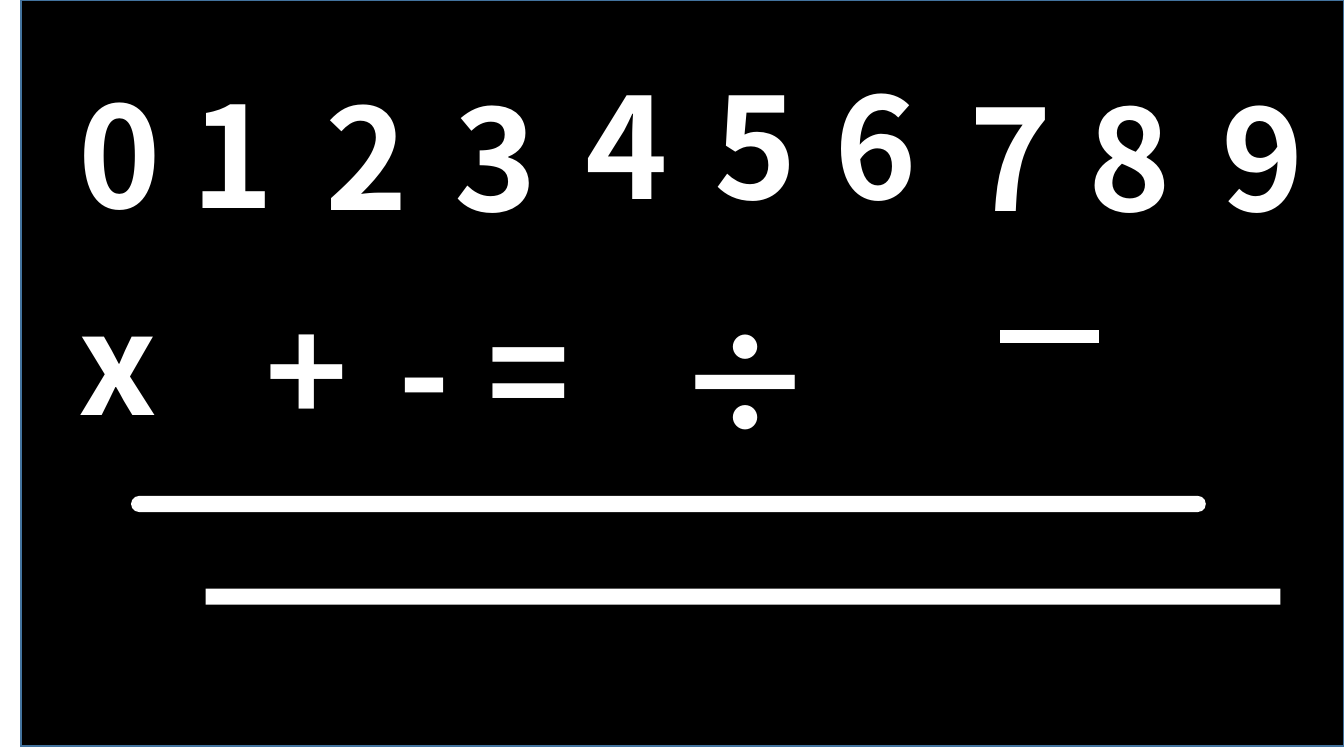
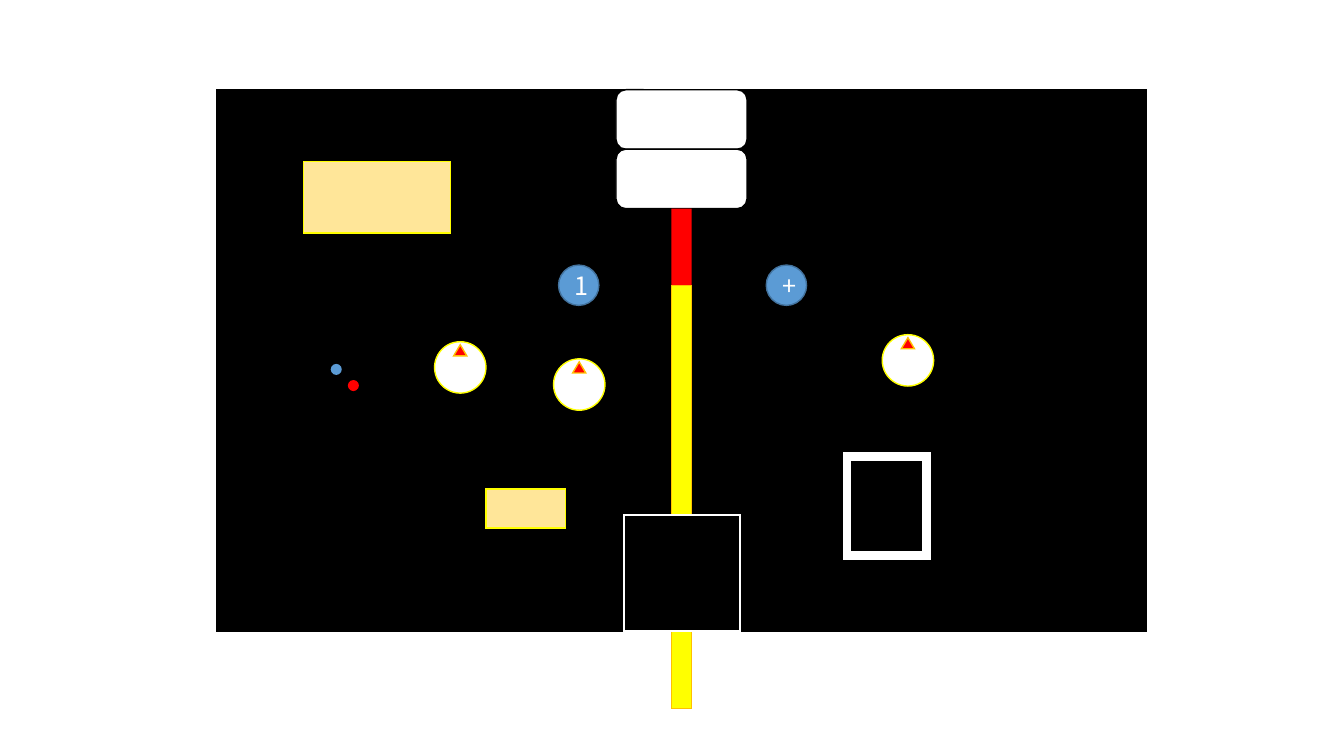
import pptx
import pptx.util
import pptx.dml.color
import pptx.enum.shapes
import pptx.enum.text
import pptx.oxml
import pptx.oxml.ns

Inches = pptx.util.Inches
SHAPE = pptx.enum.shapes.MSO_SHAPE

BLACK, WHITE, RED, YELLOW = "000000", "FFFFFF", "FF0000", "FFFF00"
BLUE, NAVY, GOLD, CREAM = "5B9BD5", "43739E", "FFC000", "FFE699"
FONT = "Noto Sans CJK KR"
NS = pptx.oxml.ns.nsdecls("a")


def rgb(color):
    return pptx.dml.color.RGBColor.from_string(color)


def write(tf, text, size, color=WHITE, bold=False, align=None):
    """Put one run of formatted text in a text frame."""
    p = tf.paragraphs[0]
    p.alignment = align
    r = p.add_run()
    r.text = text
    r.font.size = pptx.util.Pt(size)
    r.font.bold = bold
    r.font.color.rgb = rgb(color)
    r.font.name = FONT
    # Symbols such as ÷ take the East Asian font
    ea = pptx.oxml.parse_xml(f'<a:ea {NS} typeface="{FONT}"/>')
    r.font._element.find(pptx.oxml.ns.qn("a:latin")).addnext(ea)


class Deck:
    def __init__(self):
        self.prs = pptx.Presentation()
        self.prs.slide_width = Inches(13.33)
        self.prs.slide_height = Inches(7.5)
        self.s = None

    def slide(self):
        self.s = self.prs.slides.add_slide(self.prs.slide_layouts[6])

    def shape(self, kind, x, y, w, h, fill, line=None, weight=1,
              adj=None, parent=None):
        shapes = (parent or self.s).shapes
        sp = shapes.add_shape(kind, Inches(x), Inches(y), Inches(w), Inches(h))
        sp.shadow.inherit = False
        sp.fill.solid()
        sp.fill.fore_color.rgb = rgb(fill)
        if line:
            sp.line.color.rgb = rgb(line)
            sp.line.width = pptx.util.Pt(weight)
            # Sharp outline corners
            ln = sp._element.spPr.find(pptx.oxml.ns.qn("a:ln"))
            ln.append(pptx.oxml.parse_xml(f'<a:miter {NS} lim="800000"/>'))
        else:
            sp.line.fill.background()
        if adj is not None:
            sp.adjustments[0] = adj
        return sp

    def rect(self, *args, **kwargs):
        return self.shape(SHAPE.RECTANGLE, *args, **kwargs)

    def rounded(self, *args, **kwargs):
        return self.shape(SHAPE.ROUNDED_RECTANGLE, *args, **kwargs)

    def circle(self, x, y, d, *args, **kwargs):
        return self.shape(SHAPE.OVAL, x, y, d, d, *args, **kwargs)

    def glyph(self, text, x, y, w=1.02):
        """Large bold character."""
        sp = self.s.shapes.add_textbox(
            Inches(x), Inches(y), Inches(w), Inches(1.78))
        tf = sp.text_frame
        tf.word_wrap = False
        tf.auto_size = pptx.enum.text.MSO_AUTO_SIZE.SHAPE_TO_FIT_TEXT
        write(tf, text, 100, bold=True)

    def badge(self, text, x, y):
        """Blue disc with a centred character."""
        tf = self.circle(x, y, 0.4, BLUE, NAVY).text_frame
        tf.vertical_anchor = pptx.enum.text.MSO_ANCHOR.MIDDLE
        write(tf, text, 18, align=pptx.enum.text.PP_ALIGN.CENTER)

    def dial(self, x, y):
        """White disc with a red pointer near its top."""
        group = self.s.shapes.add_group_shape()
        self.circle(x, y, 0.51, WHITE, YELLOW, parent=group)
        self.shape(SHAPE.ISOSCELES_TRIANGLE, x + 0.19, y + 0.03, 0.13, 0.11,
                   RED, GOLD, parent=group)


def characters(deck):
    deck.slide()
    deck.rect(0.21, 0, 13.12, 7.4, BLACK, NAVY)

    # Digits
    for text, x, y in [("4", 5.71, 0.54), ("3", 4.41, 0.66), ("1", 1.8, 0.63),
                       ("6", 8.18, 0.54), ("2", 3.13, 0.65), ("9", 12.02, 0.66),
                       ("5", 6.99, 0.54), ("8", 10.7, 0.66), ("7", 9.52, 0.66),
                       ("0", 0.68, 0.63)]:
        deck.glyph(text, x, y)

    # Operators
    for text, x, y, w in [("x", 0.68, 2.68, 0.96), ("+", 2.53, 2.77, 1.21),
                          ("-", 3.85, 2.78, 0.78), ("=", 4.74, 2.78, 1.21),
                          ("÷", 6.6, 2.88, 1.21)]:
        deck.glyph(text, x, y, w)

    # Bars
    deck.rect(9.91, 3.27, 1, 0.14, WHITE, BLACK)
    deck.rect(2.04, 5.84, 10.66, 0.16, WHITE)
    deck.rounded(1.3, 4.92, 10.66, 0.16, WHITE, adj=0.5)


def board(deck):
    deck.slide()
    deck.rect(2.15, 0.89, 9.22, 5.37, BLACK, BLACK)

    # Top plates
    for row in range(2):
        deck.rounded(6.11, 0.89 + row * 0.59, 1.3, 0.59, WHITE, BLACK)

    # Central gauge
    deck.rect(6.66, 2.07, 0.2, 4.19, RED)
    deck.rect(6.66, 2.83, 0.2, 4.2, YELLOW, GOLD)

    # Left and right dials, badges
    for x, y in [(4.31, 3.39), (8.75, 3.32)]:
        deck.dial(x, y)
    for text, x in [("1", 5.54), ("+", 7.6)]:
        deck.badge(text, x, 2.63)

    # Panels, dots and frames
    deck.rounded(3.01, 1.6, 1.46, 0.71, CREAM, YELLOW, adj=0)
    for x, y, color in [(3.28, 3.61, BLUE), (3.45, 3.77, RED)]:
        deck.circle(x, y, 0.11, color)
    deck.rect(6.19, 5.11, 1.15, 1.15, BLACK, WHITE)
    deck.rect(8.4, 4.53, 0.79, 0.98, BLACK, WHITE, weight=6)
    deck.rect(4.82, 4.85, 0.79, 0.39, CREAM, YELLOW)

    # Inner dial
    deck.dial(5.49, 3.56)


def main():
    deck = Deck()
    characters(deck)
    board(deck)
    deck.prs.save("out.pptx")


if __name__ == "__main__":
    main()
